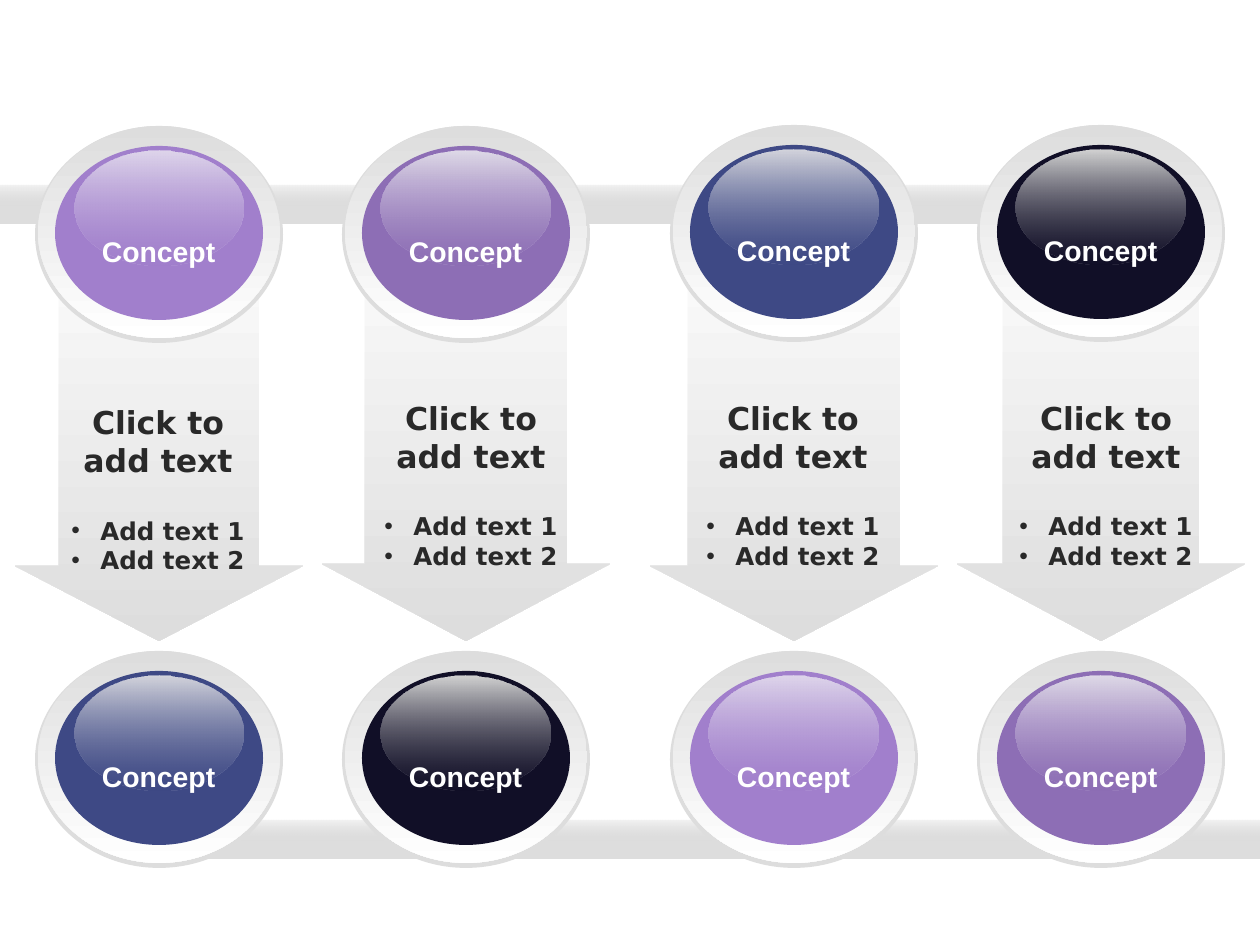
from lxml import etree
from pptx import Presentation
from pptx import util as u
from pptx.dml.color import RGBColor
from pptx.enum import shapes, text
from pptx.oxml.ns import qn

PX = 914400 // 126
GREY, WHITE, DARK = "DDDDDD", "FFFFFF", "292929"
LILAC, VIOLET, NAVY, BLACK = "A17FCC", "8D6EB5", "3E4985", "110F27"
GLOSS = {LILAC: "DED5EB", VIOLET: "DFDAE8", NAVY: "D4D5DD", BLACK: "D3D3D3"}
# centre, shaft half-width, arrow top, head top, text left, text top, upper ball top, ball colours
COLUMNS = [
    (159, 100, 204, 566, 49, 397, 126, LILAC, NAVY),
    (466, 101, 195, 564, 362, 393, 126, VIOLET, BLACK),
    (794, 106, 204, 566, 684, 393, 125, NAVY, LILAC),
    (1101, 98, 195, 564, 997, 393, 125, BLACK, VIOLET),
]


def px(*lengths):
    return [length * PX for length in lengths]


def rgb(value):
    return RGBColor.from_string(value)


def paint(shape, *stops):
    """Fill with one colour, or downwards through (colour, opacity percent) stops."""
    shape.shadow.inherit = False
    shape.line.fill.background()
    if len(stops) == 1:
        shape.fill.solid()
        shape.fill.fore_color.rgb = rgb(stops[0])
        return
    shape.fill.gradient()
    gradient = shape._element.spPr.find(qn("a:gradFill"))
    for child in list(gradient):
        gradient.remove(child)
    stop_list = etree.SubElement(gradient, qn("a:gsLst"))
    for position, (colour, opacity) in zip((0, 100000), stops):
        stop = etree.SubElement(stop_list, qn("a:gs"), pos=str(position))
        node = etree.SubElement(stop, qn("a:srgbClr"), val=colour)
        if opacity < 100:
            etree.SubElement(node, qn("a:alpha"), val=str(opacity * 1000))
    etree.SubElement(gradient, qn("a:lin"), ang="5400000", scaled="0")


def add_filled(parent, preset, box, *stops):
    paint(parent.add_shape(preset, *px(*box)), *stops)


def set_font(paragraph, name, size, colour):
    font = paragraph.font
    font.name, font.size, font.bold = name, u.Pt(size), True
    font.color.rgb = rgb(colour)
    paragraph.alignment = text.PP_ALIGN.CENTER


def add_text_frame(parent, box):
    frame = parent.add_textbox(*px(*box)).text_frame
    frame.word_wrap = True
    return frame


def add_arrow(slide, centre, half, top, head, tip=641, head_half=144):
    left, right = centre - half, centre + half
    shaft = top + 68
    outlines = [[(right, head), (right, shaft), (left, shaft), (left, head),
                 (centre - head_half, head), (centre, tip), (centre + head_half, head)]]
    for start, end in ((28, 56), (0, 14)):
        outlines.append([(right, top + start), (left, top + start),
                         (left, top + end), (right, top + end)])
    builder = slide.shapes.build_freeform(*outlines[0][0], scale=PX)
    for index, points in enumerate(outlines):
        if index:
            builder.move_to(*points[0])
        builder.add_line_segments(points[1:], close=True)
    paint(builder.convert_to_shape(), (WHITE, 100), (GREY, 100))


def add_bar(slide, left, top, width):
    bar = slide.shapes.add_group_shape().shapes
    rectangle = shapes.MSO_SHAPE.RECTANGLE
    add_filled(bar, rectangle, (left, top, width, 39), GREY)
    add_filled(bar, rectangle, (left, top, width, 21), (WHITE, 67), (GREY, 0))


def add_caption(slide, left, top):
    frame = add_text_frame(slide.shapes, (left, top, 218, 214))
    heading = frame.paragraphs[0]
    heading.text = "Click to add text"
    set_font(heading, "DejaVu Sans", 18, DARK)
    heading.space_after = u.Pt(21)
    for item in ("Add text 1", "Add text 2"):
        paragraph = frame.add_paragraph()
        paragraph.text = item
        set_font(paragraph, "DejaVu Sans", 14, DARK)
        properties = paragraph._p.get_or_add_pPr()
        properties.set("marL", str(29 * PX))
        properties.set("indent", str(-29 * PX))
        bullet_font = etree.Element(qn("a:buFont"), typeface="Arial")
        bullet = etree.Element(qn("a:buChar"), char="•")
        properties.find(qn("a:defRPr")).addprevious(bullet_font)
        bullet_font.addnext(bullet)


def add_ball(slide, centre, top, colour):
    ball = slide.shapes.add_group_shape().shapes
    left = centre - 124
    oval = shapes.MSO_SHAPE.OVAL
    add_filled(ball, oval, (left, top, 248, 217), GREY)
    add_filled(ball, oval, (left + 3, top, 242, 212), (GREY, 100), (WHITE, 100))
    add_filled(ball, oval, (left + 20, top + 20, 208, 174), colour)
    add_filled(ball, oval, (left + 39, top + 25, 169, 115), (GLOSS[colour], 100), (colour, 37))
    label = add_text_frame(ball, (left + 39, top + 69, 169, 53)).paragraphs[0]
    run = label.add_run()
    run.text = "Concept"
    set_font(label, "Arial", 28, WHITE)
    run.font._element.set("baseline", "-25000")


def main():
    deck = Presentation()
    deck.slide_width, deck.slide_height = px(1260, 945)
    slide = deck.slides.add_slide(deck.slide_layouts[6])
    for centre, half, top, head, *_ in reversed(COLUMNS):
        add_arrow(slide, centre, half, top, head)
    add_bar(slide, 0, 185, 1057)
    add_bar(slide, 144, 820, 1116)
    for centre, _, _, _, text_left, text_top, ball_top, upper, lower in COLUMNS:
        add_caption(slide, text_left, text_top)
        add_ball(slide, centre, ball_top, upper)
        add_ball(slide, centre, 651, lower)
    deck.save("out.pptx")


if __name__ == "__main__":
    main()
